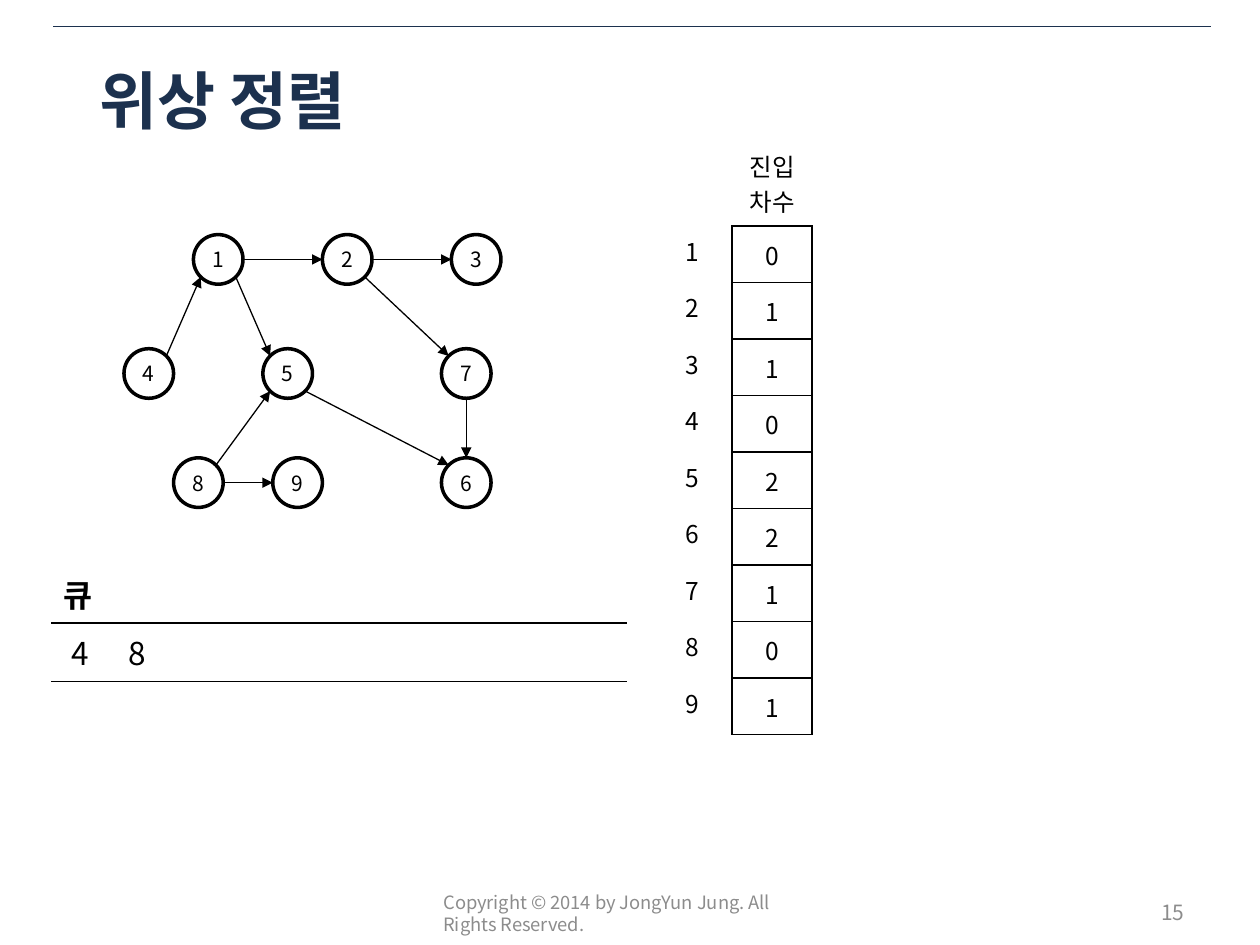
import math
from lxml import etree
from pptx import Presentation
from pptx.dml.color import RGBColor
from pptx.enum import shapes, text
from pptx.oxml.ns import qn
from pptx.util import Cm, Pt

FONT = "Noto Sans CJK KR"
NAVY = RGBColor(0x1C, 0x31, 0x4E)
GREY = RGBColor(0x8C, 0x8C, 0x8C)
BLACK = RGBColor(0, 0, 0)
PLAIN = "{2D5ABB26-0587-4C30-8999-92F81FD0307C}"  # table style without grid
LEFT, MID, RIGHT = text.PP_ALIGN.LEFT, text.PP_ALIGN.CENTER, text.PP_ALIGN.RIGHT

# text, left, top, width, height, size, colour, bold, alignment
LABELS = [
    ("위상 정렬", 1.75, 1.02, 21.9, 1.98, 36, NAVY, True, LEFT),
    ("Copyright © 2014 by JongYun Jung. All Rights Reserved.",
     8.69, 17.9, 8.05, 1.02, 10.5, GREY, False, LEFT),
    ("15", 18.21, 17.88, 5.92, 1.02, 12, GREY, False, RIGHT),
]

# node: centre in cm
NODES = {
    1: (4.4, 5.23), 2: (7, 5.23), 3: (9.6, 5.23),
    4: (3, 7.53), 5: (5.8, 7.53), 7: (9.4, 7.53),
    8: (4, 9.73), 9: (6, 9.73), 6: (9.4, 9.73),
}
EDGES = [(1, 2), (2, 3), (4, 1), (1, 5), (2, 7), (8, 5), (8, 9), (5, 6), (7, 6)]
RADIUS = 0.5

DEGREES = [0, 1, 1, 0, 2, 2, 1, 0, 1]
QUEUE = [4, 8]
SLOTS = 10


def style(para, size, color=BLACK, bold=False, align=MID):
    para.alignment = align
    font = para.font
    font.size, font.bold, font.name = Pt(size), bold, FONT
    font.color.rgb = color
    base = para._p.pPr.find(qn("a:defRPr"))
    etree.SubElement(base, qn("a:ea"), typeface=FONT)


def label(slide, words, left, top, width, height, *look):
    box = slide.shapes.add_textbox(Cm(left), Cm(top), Cm(width), Cm(height))
    frame = box.text_frame
    frame.word_wrap = True
    frame.vertical_anchor = text.MSO_ANCHOR.MIDDLE
    frame.text = words
    style(frame.paragraphs[0], *look)


def line(slide, start, end, color, width, arrow=False):
    ends = [Cm(v) for v in (*start, *end)]
    link = slide.shapes.add_connector(shapes.MSO_CONNECTOR.STRAIGHT, *ends)
    link.line.color.rgb, link.line.width = color, Pt(width)
    props = link._element.spPr
    if arrow:
        etree.SubElement(props.find(qn("a:ln")), qn("a:tailEnd"), type="triangle")
    etree.SubElement(props, qn("a:effectLst"))


def node(slide, name, x, y):
    ring = slide.shapes.add_shape(
        shapes.MSO_SHAPE.OVAL, Cm(x - RADIUS), Cm(y - RADIUS), Cm(2 * RADIUS), Cm(2 * RADIUS))
    ring.shadow.inherit = False
    ring.fill.background()
    ring.line.color.rgb, ring.line.width = BLACK, Pt(2)
    frame = ring.text_frame
    frame.margin_left = frame.margin_right = frame.margin_top = frame.margin_bottom = 0
    frame.vertical_anchor = text.MSO_ANCHOR.MIDDLE
    frame.text = str(name)
    style(frame.paragraphs[0], 12)


def edge(slide, tail, head):
    """Join two nodes at the rim points nearest to a multiple of 45 degrees."""
    (x, y), (s, t) = NODES[tail], NODES[head]
    step = math.pi / 4
    turn = round(math.atan2(t - y, s - x) / step) * step
    dx, dy = RADIUS * math.cos(turn), RADIUS * math.sin(turn)
    line(slide, (x + dx, y + dy), (s - dx, t - dy), BLACK, 0.75, True)


def table(slide, left, top, cols, width, heights):
    """Add an unstyled table with equal columns and the given row heights."""
    grid = slide.shapes.add_table(
        len(heights), cols, Cm(left), Cm(top), Cm(width * cols), Cm(sum(heights))).table
    grid.first_row = grid.horz_banding = False
    grid._tbl.tblPr.find(qn("a:tableStyleId")).text = PLAIN
    for row, height in zip(grid.rows, heights):
        row.height = Cm(height)
    for cell in grid.iter_cells():
        cell.fill.background()
    return grid


def put(cell, words, size, bold=False, align=MID):
    cell.text = str(words)
    style(cell.text_frame.paragraphs[0], size, bold=bold, align=align)


def border(cell, sides):
    props = cell._tc.get_or_add_tcPr()
    for spot, side in enumerate(sides):
        rule = etree.Element(qn(f"a:ln{side}"), w=str(Pt(1)))
        fill = etree.SubElement(rule, qn("a:solidFill"))
        etree.SubElement(fill, qn("a:srgbClr"), val=str(BLACK))
        props.insert(spot, rule)


def main():
    deck = Presentation()
    deck.slide_width, deck.slide_height = Cm(25.4), Cm(19.05)
    slide = deck.slides.add_slide(deck.slide_layouts[6])

    line(slide, (1.07, 0.53), (24.41, 0.53), NAVY, 0.25)
    for item in LABELS:
        label(slide, *item)
    for name, spot in NODES.items():
        node(slide, name, *spot)
    for pair in EDGES:
        edge(slide, *pair)

    counts = table(slide, 13.15, 2.85, 2, 1.61, [1.71] + [1.14] * len(DEGREES))
    put(counts.cell(0, 1), "진입차수", 14)
    border(counts.cell(0, 1), "B")
    for row, degree in enumerate(DEGREES, 1):
        put(counts.cell(row, 0), row, 14)
        cell = counts.cell(row, 1)
        put(cell, degree, 14)
        cell.vertical_anchor = text.MSO_ANCHOR.MIDDLE
        border(cell, "LRTB")

    queue = table(slide, 1.03, 11.38, SLOTS, 1.16, [1.18, 1.18])
    put(queue.cell(0, 0), "큐", 18, True, LEFT)
    for col, name in enumerate(QUEUE):
        put(queue.cell(1, col), name, 18)
    for col in range(SLOTS):
        border(queue.cell(1, col), "TB")

    deck.save("out.pptx")


if __name__ == "__main__":
    main()
